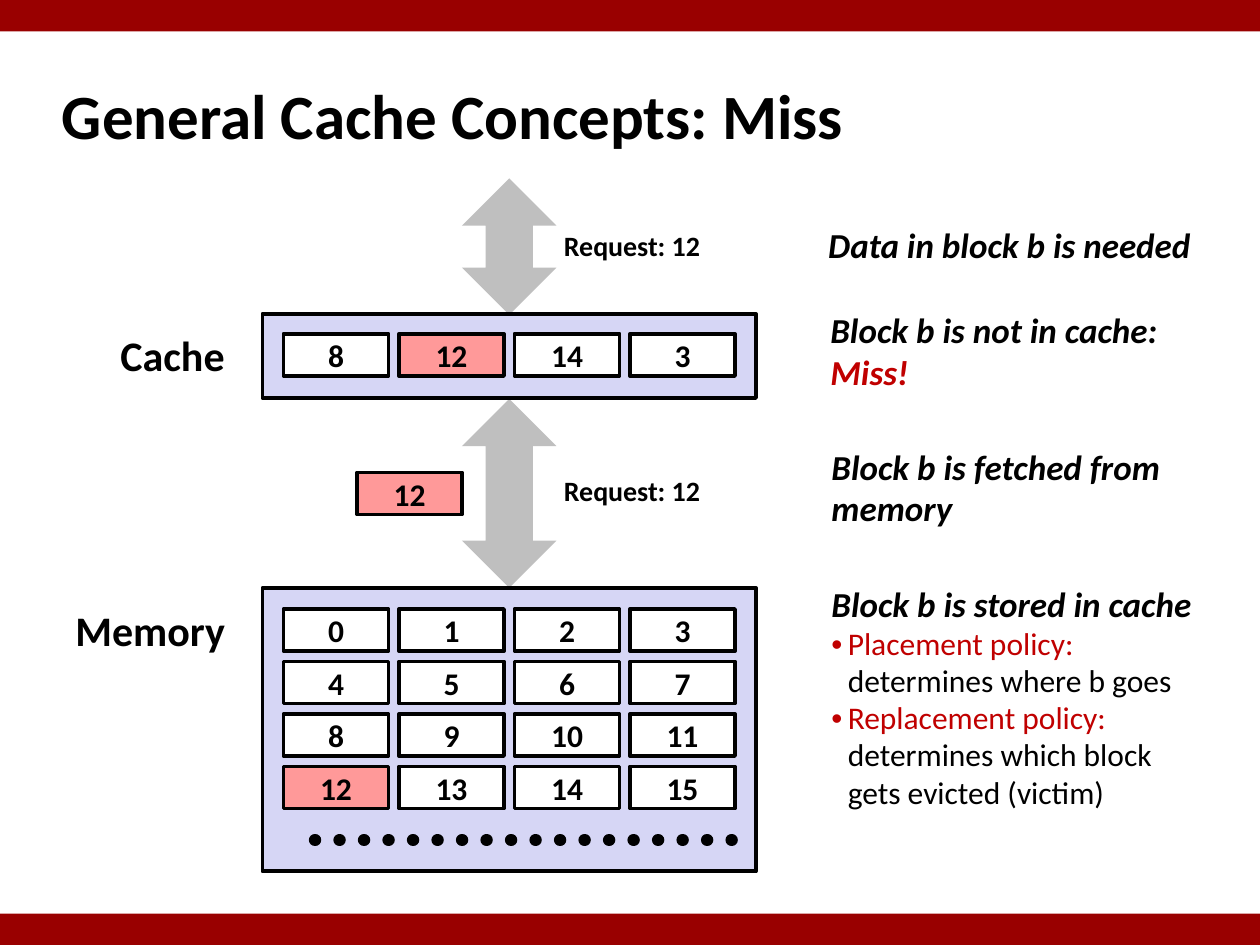
import pptx
import pptx.dml.color
import pptx.enum.dml
import pptx.enum.shapes
import pptx.enum.text
import pptx.oxml
import pptx.oxml.ns
import pptx.util
from lxml import etree

COLORS = {
    "bar": "990000",
    "arrow": "BFBFBF",
    "panel": "D6D6F5",
    "block": "FFFFFF",
    "requested": "FF9999",
    "text": "000000",
    "accent": "C00000",
}
COLUMNS, ROWS = 120, 90
BLOCK_WIDTH, BLOCK_HEIGHT = 10, 4
COLUMN_STEP, ROW_STEP = 11, 5
FIRST_COLUMN, CACHE_ROW, MEMORY_ROW = 27, 31.8, 58

SHAPES = pptx.enum.shapes.MSO_SHAPE
ALIGN = pptx.enum.text.PP_ALIGN
ANCHOR = pptx.enum.text.MSO_ANCHOR
qn = pptx.oxml.ns.qn


def rgb(name):
    return pptx.dml.color.RGBColor.from_string(COLORS[name])


def add_text(paragraph, text, size=18, color="text", bold=True, italic=False):
    """Append a run; each newline in the text becomes a line break."""
    for index, line in enumerate(text.split("\n")):
        if index:
            paragraph.add_line_break()
        if line:
            run = paragraph.add_run()
            run.text = line
            run.font.name = "Calibri"
            run.font.size = pptx.util.Pt(size)
            run.font.bold = bold
            run.font.italic = italic
            run.font.color.rgb = rgb(color)


def set_hanging_indent(paragraph, bullet=None):
    properties = paragraph._p.get_or_add_pPr()
    indent = pptx.util.Inches(0.13)
    properties.set("marL", str(indent))
    properties.set("indent", str(-indent))
    if bullet:
        etree.SubElement(properties, qn("a:buFont")).set("typeface", "Arial")
        etree.SubElement(properties, qn("a:buChar")).set("char", bullet)


class CacheSlide:
    """Holds the slide and its grid; places are given in columns and rows."""

    def __init__(self, presentation):
        self.column = presentation.slide_width / COLUMNS
        self.row = presentation.slide_height / ROWS
        self.slide = presentation.slides.add_slide(presentation.slide_layouts[5])

    def place(self, left, top, width, height):
        return (round(left * self.column), round(top * self.row),
                round(width * self.column), round(height * self.row))

    def title(self, text, *box):
        shape = self.slide.shapes.title
        shape.left, shape.top, shape.width, shape.height = self.place(*box)
        shape.text_frame.vertical_anchor = ANCHOR.MIDDLE
        paragraph = shape.text_frame.paragraphs[0]
        paragraph.alignment = ALIGN.LEFT
        set_hanging_indent(paragraph)
        add_text(paragraph, text, size=36)

    def shape(self, kind, fill, *box, outlined=False):
        shape = self.slide.shapes.add_shape(kind, *self.place(*box))
        shape.shadow.inherit = False
        shape.fill.solid()
        shape.fill.fore_color.rgb = rgb(fill)
        if outlined:
            shape.line.color.rgb = rgb("text")
            shape.line.width = pptx.util.Pt(2.25)
        else:
            shape.line.fill.background()
        return shape

    def panel(self, top, height):
        self.shape(SHAPES.RECTANGLE, "panel", 25, top, 47, height, outlined=True)

    def block(self, number, left, top, fill="block"):
        shape = self.shape(SHAPES.RECTANGLE, fill, left, top,
                           BLOCK_WIDTH, BLOCK_HEIGHT, outlined=True)
        shape.text_frame.vertical_anchor = ANCHOR.MIDDLE
        paragraph = shape.text_frame.paragraphs[0]
        paragraph.alignment = ALIGN.CENTER
        add_text(paragraph, str(number))

    def block_row(self, numbers, top):
        for index, number in enumerate(numbers):
            fill = "requested" if number == 12 else "block"
            self.block(number, FIRST_COLUMN + index * COLUMN_STEP, top, fill)

    def text_box(self, *box, anchor=ANCHOR.TOP):
        frame = self.slide.shapes.add_textbox(*self.place(*box)).text_frame
        frame.word_wrap = False
        frame.auto_size = pptx.enum.text.MSO_AUTO_SIZE.SHAPE_TO_FIT_TEXT
        frame.vertical_anchor = anchor
        return frame

    def label(self, text, *box, size=24, align=ALIGN.LEFT):
        paragraph = self.text_box(*box).paragraphs[0]
        paragraph.alignment = align
        add_text(paragraph, text, size=size)

    def note(self, lines, *box, policies=()):
        """Explain a step in (text, color) lines, then bulleted policies."""
        frame = self.text_box(*box, anchor=ANCHOR.MIDDLE)
        for index, (text, color) in enumerate(lines):
            paragraph = frame.add_paragraph() if index else frame.paragraphs[0]
            paragraph.line_spacing = 0.98
            add_text(paragraph, text, size=20, color=color, italic=True)
        for name, effect in policies:
            paragraph = frame.add_paragraph()
            paragraph.line_spacing = 0.98
            set_hanging_indent(paragraph, bullet="•")
            add_text(paragraph, name + "\n", color="accent", bold=False)
            add_text(paragraph, effect, bold=False)

    def dotted_line(self, left, right, row):
        start, top, width, _ = self.place(left, row, right - left, 0)
        line = self.slide.shapes.add_connector(
            pptx.enum.shapes.MSO_CONNECTOR.STRAIGHT, start, top, start + width, top)
        line.line.color.rgb = rgb("text")
        line.line.width = pptx.util.Pt(7)
        line.line.dash_style = pptx.enum.dml.MSO_LINE.ROUND_DOT
        properties = line._element.spPr
        properties.find(qn("a:ln")).set("cap", "rnd")
        etree.SubElement(properties, qn("a:effectLst"))


def main():
    presentation = pptx.Presentation()
    presentation.slide_width = pptx.util.Inches(10)
    presentation.slide_height = pptx.util.Inches(7.5)
    page = CacheSlide(presentation)

    for top in (0, 87):
        page.shape(SHAPES.RECTANGLE, "bar", 0, top, COLUMNS, 3)
    page.title("General Cache Concepts: Miss", 4.7, 5.9, 99.6, 10)

    for arrow_top, arrow_height, request_top in ((17, 13, 21.2), (38, 18, 44.5)):
        page.shape(SHAPES.UP_DOWN_ARROW, "arrow", 44, arrow_top, 9, arrow_height)
        page.label("Request: 12", 52.4, request_top, 15.6, 4.4,
                   size=16, align=ALIGN.CENTER)

    page.label("Cache", 10.3, 30.8, 12.5, 6)
    page.panel(29.9, 8)
    page.block_row((8, 12, 14, 3), CACHE_ROW)

    page.block(12, 34, 45, "requested")

    page.label("Memory", 6, 57, 16.8, 6)
    page.panel(56, 27)
    for index in range(4):
        page.block_row(range(4 * index, 4 * index + 4), MEMORY_ROW + index * ROW_STEP)
    page.dotted_line(30, 70, 80)

    page.note([("Data in block b is needed", "text")], 77.7, 20.8, 37, 5.2)
    page.note([("Block b is not in cache:", "text"), ("Miss!", "accent")],
              77.9, 29, 33.7, 9.1)
    page.note([("Block b is fetched from", "text"), ("memory", "text")],
              78, 42, 34, 9.1)
    page.note([("Block b is stored in cache", "text")], 78, 55, 36.8, 23,
              policies=[("Placement policy:", "determines where b goes"),
                        ("Replacement policy:",
                         "determines which block\ngets evicted (victim)")])

    presentation.save("out.pptx")


if __name__ == "__main__":
    main()
